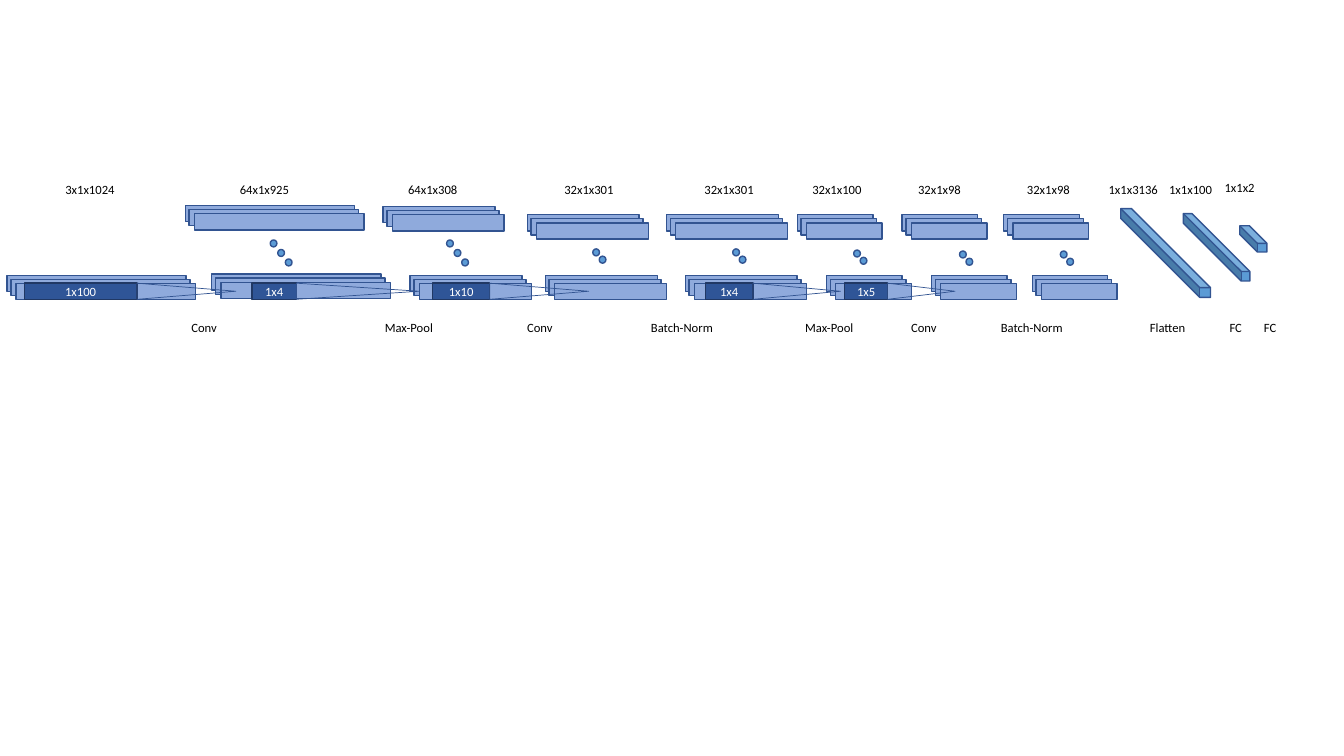
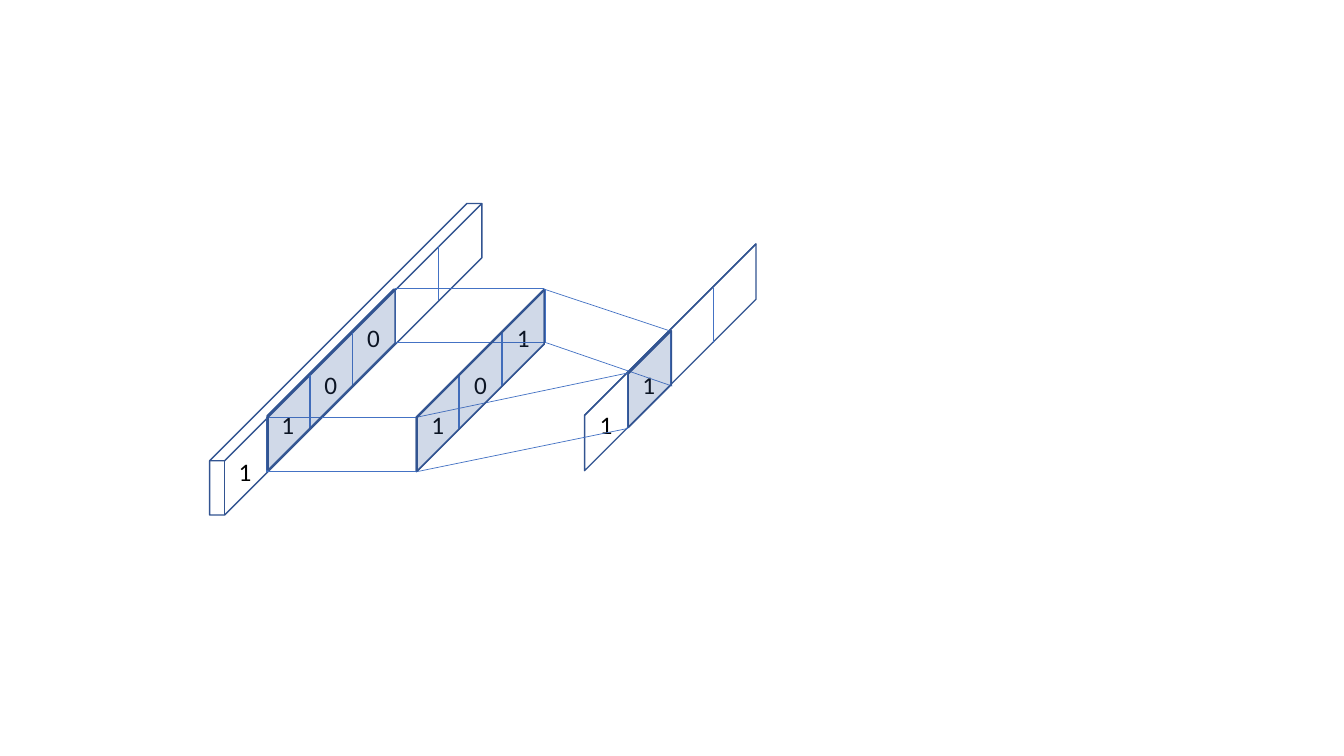
from lxml.etree import SubElement as Sub
from pptx import Presentation as Deck
from pptx.dml.color import RGBColor as Rgb
from pptx.enum.shapes import MSO_CONNECTOR as Conn, MSO_SHAPE as Form
from pptx.enum.text import MSO_ANCHOR as Anchor, PP_ALIGN as Align
from pptx.oxml.ns import qn
from pptx.util import Pt

EDGE, RAY, DARK = "325491", "4472C4", "203864"
BAR, CORE, DOT = "8FAADC", "2F5597", "5B9BD5"
BLACK, WHITE, FONT = "000000", "FFFFFF", "Calibri"


def tint(code):
    return Rgb.from_string(code)


class Pen:
    """Holds the style and the current slide."""

    def __init__(self):
        self.deck = Deck()
        self.deck.slide_width, self.deck.slide_height = Pt(960), Pt(540)

    def start(self):
        self.slide = self.deck.slides.add_slide(self.deck.slide_layouts[6])

    def shape(self, form, box, fill=None, line=EDGE, width=1, alpha=None, adj=None):
        item = self.slide.shapes.add_shape(form, *map(Pt, box))
        item.shadow.inherit = False
        if fill:
            item.fill.solid()
            item.fill.fore_color.rgb = tint(fill)
        else:
            item.fill.background()
        if alpha:
            hue = item._element.spPr.find(qn("a:solidFill"))[0]
            Sub(hue, qn("a:alpha")).set("val", str(alpha * 1000))
        item.line.color.rgb = tint(line)
        item.line.width = Pt(width)
        if adj is not None:
            item.adjustments[0] = adj
        return item

    def label(self, frame, text, size, color=BLACK):
        frame.text = text
        font = frame.paragraphs[0].runs[0].font
        font.name, font.size, font.color.rgb = FONT, Pt(size), tint(color)

    def text(self, box, text, size=9, wrap=True):
        frame = self.slide.shapes.add_textbox(*map(Pt, box)).text_frame
        frame.word_wrap = wrap
        self.label(frame, text, size)

    def line(self, x1, y1, x2, y2, width=0.5):
        item = self.slide.shapes.add_connector(
            Conn.STRAIGHT, Pt(x1), Pt(y1), Pt(x2), Pt(y2))
        item.line.color.rgb = tint(RAY)
        item.line.width = Pt(width)
        Sub(item._element.spPr, qn("a:effectLst"))

    def stack(self, x, y, wide):
        for dx, dy in ((0, 0), (2.8, 2.9), (6.6, 5.8)):
            self.shape(Form.RECTANGLE, (x + dx, y + dy, wide, 11.5), BAR)

    def dots(self, x, y, dx, dy, count):
        for i in range(count):
            self.shape(Form.OVAL, (x + i * dx, y + i * dy, 4.8, 5), DOT)

    def core(self, x, wide, text, reach):
        """A filter window and the cone that leaves its right edge."""
        top, high = 202.3, 11.5
        item = self.shape(Form.RECTANGLE, (x, top, wide, high), CORE, DARK)
        frame = item.text_frame
        frame.margin_left = frame.margin_right = 0
        frame.margin_top = frame.margin_bottom = 0
        frame.vertical_anchor = Anchor.MIDDLE
        self.label(frame, text, 9, WHITE)
        frame.paragraphs[0].alignment = Align.CENTER
        mid = x + wide + reach / 2
        cone = self.shape(Form.ISOSCELES_TRIANGLE,
                          (mid - high / 2, top + (high - reach) / 2, high, reach),
                          width=0.5)
        cone.rotation = 90

    def beam(self, box, adj):
        item = self.shape(Form.CUBE, box, DOT, adj=adj)
        item._element.spPr.xfrm.set("flipH", "1")

    def strip(self, box, adj, cut, count, left, tops, digits):
        """A slanted strip with cell borders and digits."""
        cell = 30.6
        self.shape(Form.CUBE, box, adj=adj)
        x, y = cut
        for i in range(count):
            at, top = x + i * cell, y - i * cell
            self.line(at, top, at, top + 38.9, 1)
        for i, (top, digit) in enumerate(zip(tops, digits)):
            self.text((left + i * cell, top, 23.8, 29), digit, 18, False)


def network(pen):
    pen.start()
    # Sizes above the layers
    for x, wide, text in (
            (39.6, 102, "3x1x1024"), (164.2, 101, "64x1x925"),
            (284.4, 101, "64x1x308"), (396, 104, "32x1x301"),
            (496.1, 101, "32x1x301"), (573.1, 99, "32x1x100"),
            (648.7, 91, "32x1x98"), (726.5, 91, "32x1x98"),
            (784.8, 83, "1x1x3136"), (828, 46, "1x1x100")):
        pen.text((x, 126.7, wide, 18), text)
    pen.text((867.6, 124.6, 62, 18), "1x1x2")
    # Steps below the layers
    for x, wide, text in (
            (129.6, 56, "Conv"), (267.8, 56, "Max-Pool"), (369.4, 56, "Conv"),
            (457.9, 67, "Batch-Norm"), (568.1, 56, "Max-Pool"),
            (643.7, 56, "Conv"), (707.8, 72, "Batch-Norm"),
            (814.3, 56, "Flatten"), (871.2, 25, "FC"), (895.7, 52, "FC")):
        pen.text((x, 224.6, wide, 18), text)
    # Layers: upper stack, lower stack, width
    pen.stack(5, 196.6, 128)
    for high, top, low, base, wide in (
            (132.3, 146.9, 151.2, 195.8, 121), (273.6, 147.6, 293, 196.6, 80),
            (376.6, 153.4, 389.5, 196.6, 80), (476, 153.4, 489.5, 196.6, 80),
            (569.5, 153.4, 590.4, 196.6, 54), (644.4, 153.4, 665.3, 196.6, 54),
            (717, 153.4, 737.3, 196.6, 54)):
        pen.stack(high, top, wide)
        pen.stack(low, base, wide)
    # Dots between the stacks
    for x in (193, 319):
        pen.dots(x, 171.4, 5.4, 6.8, 3)
    for x, y in ((423.4, 177.8), (523.4, 177.8), (609.8, 178.6),
                 (685.4, 179.3), (757.4, 179.3)):
        pen.dots(x, y, 4.6, 5.2, 2)
    # Filters
    for spot in ((17.3, 80.6, "1x100", 70.6), (180, 31.7, "1x4", 87.8),
                 (308.9, 41, "1x10", 70.6), (504, 33.8, "1x4", 62.6),
                 (603.4, 30.6, "1x5", 48.2)):
        pen.core(*spot)
    # Dense layers
    pen.beam((885.6, 161.3, 19.4, 18.7), 0.67)
    pen.beam((845.3, 152.6, 47.5, 48.2), 0.87)
    pen.beam((800.6, 149, 64.1, 63.4), 0.89)


def sample(pen):
    pen.start()
    # Input, filter and output strips
    tops = (322.6, 288.7, 259.9, 226.8)
    pen.strip((149.8, 145.4, 194.4, 222.5), 0.945, (190.8, 298.1), 5,
              163.4, tops, "1100")
    pen.strip((297.4, 206.6, 91.4, 130.3), 1, (297.4, 298.1), 4,
              301, tops[1:], "101")
    pen.strip((417.6, 174.2, 122.4, 162), 1, (448.6, 267.1), 3,
              421.2, tops[1:], "11")
    # Rays from input to filter
    for x, y in ((190.8, 298.1), (282.2, 205.9), (190.8, 337), (282.2, 244.8)):
        pen.line(x, y, x + 106.6, y)
    # Rays from filter to output
    for ray in ((297.4, 337, 448.6, 306), (297.4, 298.1, 448.6, 266.4),
                (388.8, 206.6, 478.1, 236.2), (390.2, 244.8, 480.2, 275.8)):
        pen.line(*ray)
    # Shaded cells
    for box in ((448.6, 236.2, 31, 69.1), (190.8, 206.6, 91.4, 128.9),
                (297.4, 207.4, 91.4, 128.9)):
        pen.shape(Form.CUBE, box, RAY, alpha=23, adj=0.99)


def main():
    pen = Pen()
    network(pen)
    sample(pen)
    pen.deck.save("out.pptx")


if __name__ == "__main__":
    main()
